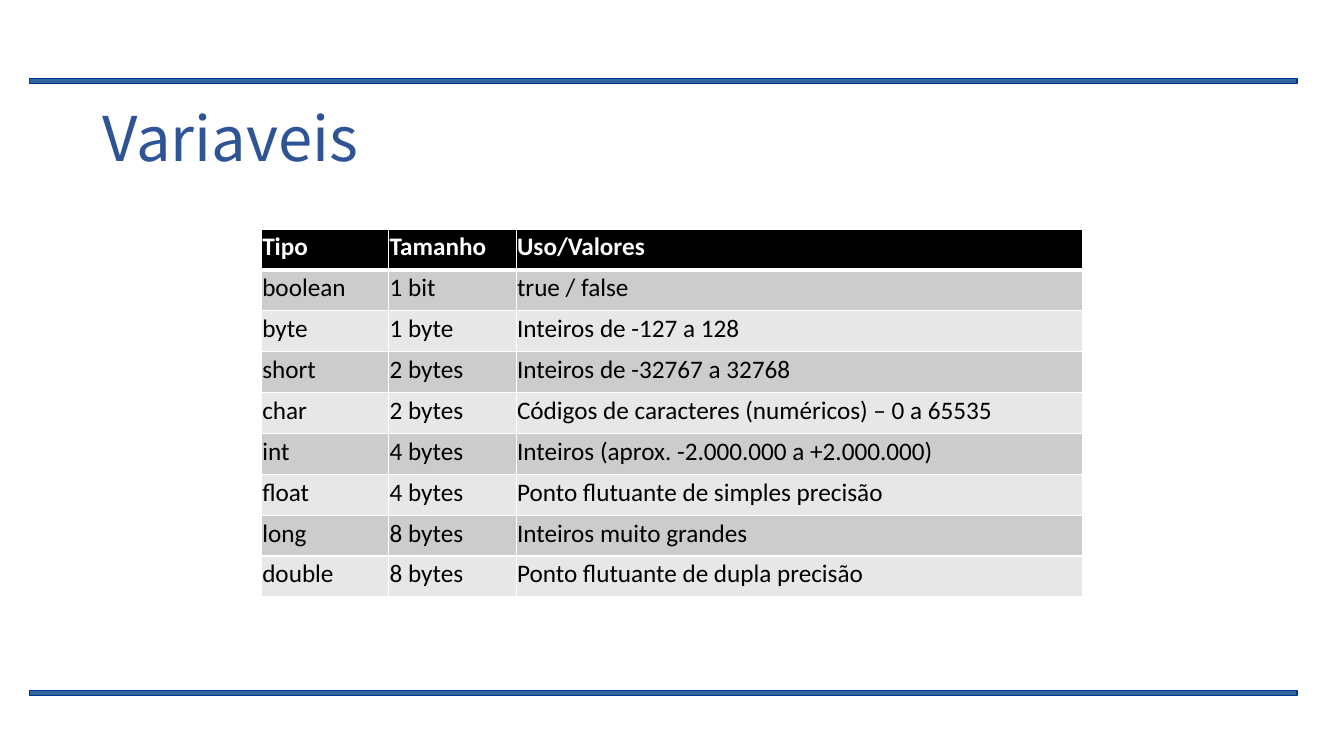
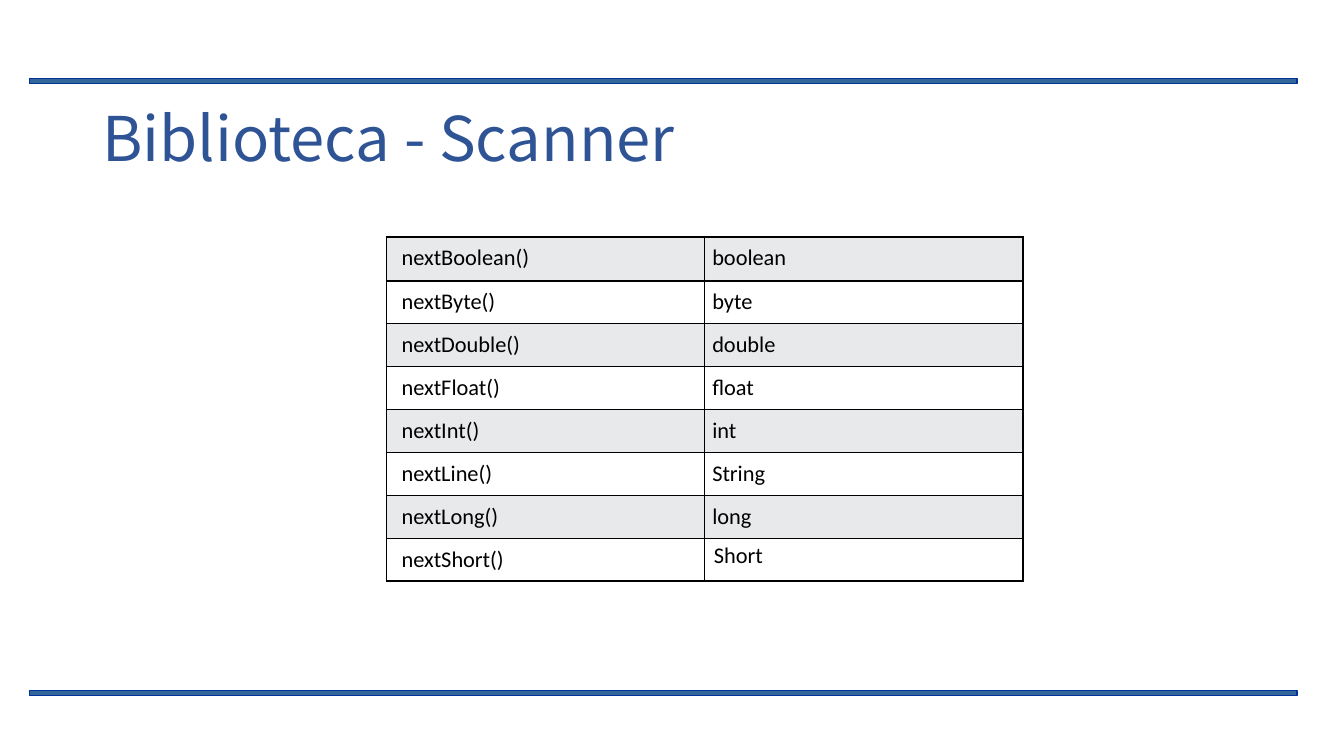
from lxml import etree
from pptx import Presentation
from pptx.dml.color import RGBColor
from pptx.enum.shapes import MSO_SHAPE
from pptx.enum.text import MSO_ANCHOR
from pptx.oxml.ns import qn
from pptx.util import Cm, Pt

RECT = MSO_SHAPE.RECTANGLE
MIDDLE = MSO_ANCHOR.MIDDLE

# Shared style
COLORS = {
    "band": "336699", "band_line": "003399", "title": "2F5496",
    "black": "000000", "white": "FFFFFF",
    "dark_row": "CCCCCC", "light_row": "E7E7E7", "pale_row": "E7E9EB",
}
TITLE_FONT = "Noto Sans CJK SC"
BODY_FONT = "Calibri"
BAND_TOPS = (1.98, 17.4)

# Table contents
VARIABLES = [
    ("Tipo", "Tamanho", "Uso/Valores"),
    ("boolean", "1 bit", "true / false"),
    ("byte", "1 byte", "Inteiros de -127 a 128"),
    ("short", "2 bytes", "Inteiros de -32767 a 32768"),
    ("char", "2 bytes", "Códigos de caracteres (numéricos) – 0 a 65535"),
    ("int", "4 bytes", "Inteiros (aprox. -2.000.000 a +2.000.000)"),
    ("float", "4 bytes", "Ponto flutuante de simples precisão"),
    ("long", "8 bytes", "Inteiros muito grandes"),
    ("double", "8 bytes", "Ponto flutuante de dupla precisão"),
]
SCANNER = [
    ("nextBoolean()", "boolean"),
    ("nextByte()", "byte"),
    ("nextDouble()", "double"),
    ("nextFloat()", "float"),
    ("nextInt()", "int"),
    ("nextLine()", "String"),
    ("nextLong()", "long"),
    ("nextShort()", "Short"),
]


def rgb(name):
    return RGBColor.from_string(COLORS[name])


def style_font(font, name, size, color, bold=False):
    font.name = name
    font.size = Pt(size)
    font.bold = bold
    font.color.rgb = rgb(color)


def add_band(s, top):
    sp = s.shapes.add_shape(RECT, Cm(0.74), Cm(top), Cm(31.95), Cm(0.13))
    sp.shadow.inherit = False
    sp.fill.solid()
    sp.fill.fore_color.rgb = rgb("band")
    sp.line.color.rgb = rgb("band_line")
    sp.line.width = Pt(1)


def add_title(s, text):
    sp = s.shapes.add_textbox(Cm(2.33), Cm(2.46), Cm(29.21), Cm(2.21))
    tf = sp.text_frame
    tf.word_wrap = True
    tf.vertical_anchor = MIDDLE
    p = tf.paragraphs[0]
    p.text = text
    p.line_spacing = 0.9
    style_font(p.font, TITLE_FONT, 44, "title")


def add_slide(prs, title):
    s = prs.slides.add_slide(prs.slide_layouts[6])
    for top in BAND_TOPS:
        add_band(s, top)
    add_title(s, title)
    return s


def set_borders(cell, color, top=1, bottom=1):
    """Draw all four edges; call before the fill to keep the XML order."""
    tcPr = cell._tc.get_or_add_tcPr()
    for tag, width in (("lnL", 1), ("lnR", 1), ("lnT", top), ("lnB", bottom)):
        ln = etree.SubElement(tcPr, qn(f"a:{tag}"), w=str(Pt(width)))
        fill = etree.SubElement(ln, qn("a:solidFill"))
        etree.SubElement(fill, qn("a:srgbClr"), val=COLORS[color])


def set_margins(cell, left, top, right, bottom):
    cell.margin_left, cell.margin_top = Cm(left), Cm(top)
    cell.margin_right, cell.margin_bottom = Cm(right), Cm(bottom)


def fill_cell(cell, text, fill, size, color="black", bold=False):
    cell.fill.solid()
    cell.fill.fore_color.rgb = rgb(fill)
    p = cell.text_frame.paragraphs[0]
    p.text = text
    style_font(p.font, BODY_FONT, size, color, bold)
    return p


def add_grid(s, left, top, col_widths, row_heights):
    frame = s.shapes.add_table(
        len(row_heights), len(col_widths), Cm(left), Cm(top),
        Cm(sum(col_widths)), Cm(sum(row_heights)))
    table = frame.table
    table.first_row = table.horz_banding = False
    for column, width in zip(table.columns, col_widths):
        column.width = Cm(width)
    for row, height in zip(table.rows, row_heights):
        row.height = Cm(height)
    return table


def add_variables_table(s):
    table = add_grid(s, 6.59, 5.77, (3.21, 3.21, 14.28),
                     [1.03] * len(VARIABLES))
    for i, row in enumerate(VARIABLES):
        header = i == 0
        fill = "black" if header else ("light_row", "dark_row")[i % 2]
        for cell, text in zip(table.rows[i].cells, row):
            set_borders(cell, "white", top=3 if i == 1 else 1,
                        bottom=3 if header else 1)
            set_margins(cell, 0.02, 0.02, 0.02, 0)
            p = fill_cell(cell, text, fill, 18,
                          "white" if header else "black", header)
            p.line_spacing = 1.07
            p.space_after = Pt(8)


def add_scanner_table(s):
    table = add_grid(s, 9.74, 5.97, (8.02, 8.02),
                     [1.11] + [1.08] * (len(SCANNER) - 1))
    for i, row in enumerate(SCANNER):
        for j, text in enumerate(row):
            cell = table.cell(i, j)
            set_borders(cell, "black")
            set_margins(cell, (0.38, 0.19)[j], 0.19, 0.19, 0.19)
            fill_cell(cell, text, ("pale_row", "white")[i % 2], 16)
    # The last cell has its own margins
    set_margins(cell, 0.23, 0.11, 0.23, 0.11)


def main():
    prs = Presentation()
    prs.slide_width, prs.slide_height = Cm(33.87), Cm(19.05)
    add_variables_table(add_slide(prs, "Variaveis"))
    add_scanner_table(add_slide(prs, "Biblioteca - Scanner"))
    prs.save("out.pptx")


main()
